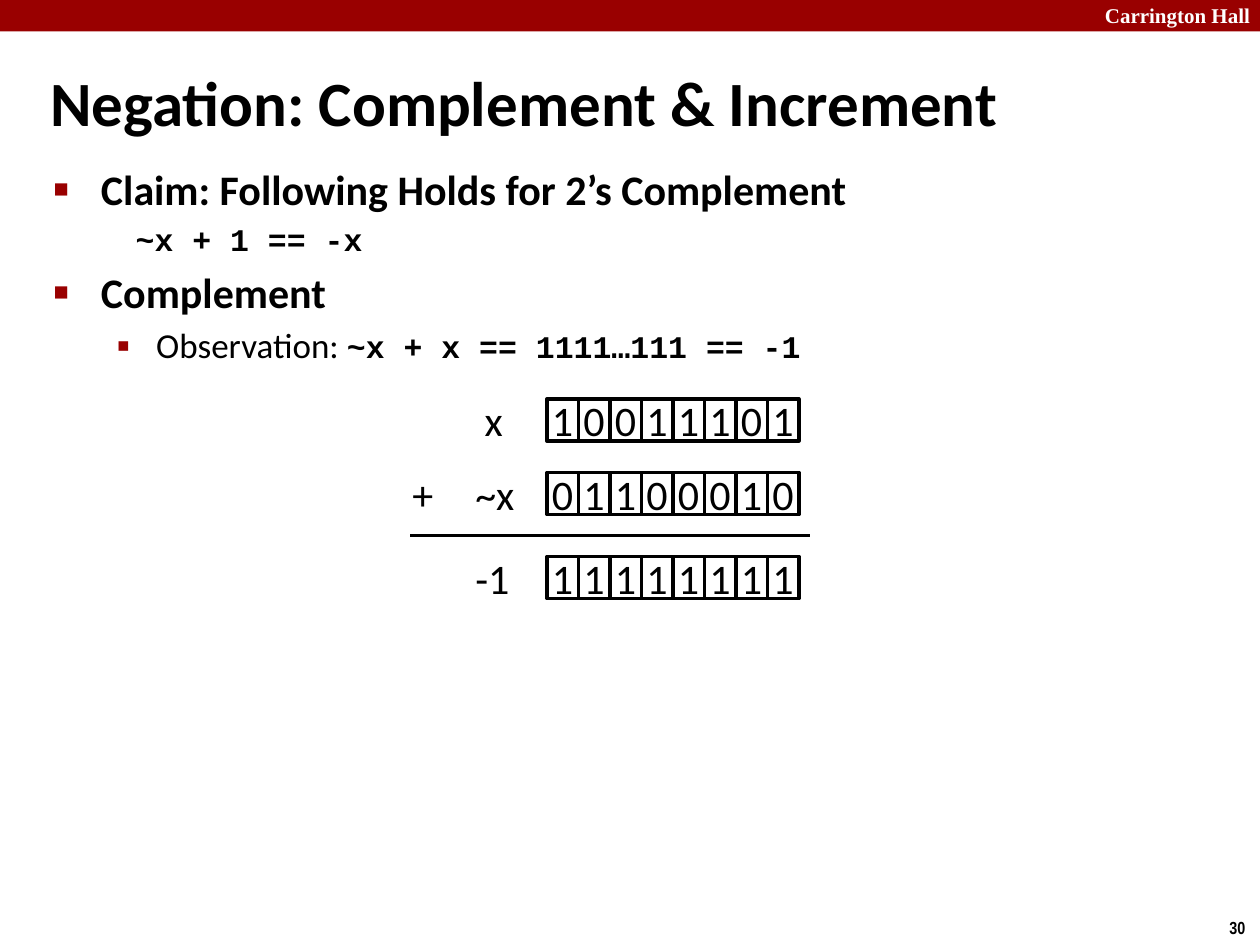
"""Build the slide on negation by complement and increment."""
from lxml.etree import SubElement
from pptx import Presentation
from pptx.dml.color import RGBColor
from pptx.enum.shapes import MSO_CONNECTOR, MSO_SHAPE
from pptx.enum.text import MSO_ANCHOR, MSO_AUTO_SIZE, PP_ALIGN
from pptx.oxml.ns import qn
from pptx.util import Pt

BLACK, WHITE, RED = "000000", "FFFFFF", "990000"


def color(value):
    return RGBColor.from_string(value)


def add_span(paragraph, text, size, font="Calibri", bold=False, shade=BLACK):
    span = paragraph.add_run()
    span.text = text
    span.font.size = Pt(size)
    span.font.name = font
    span.font.bold = bold
    span.font.color.rgb = color(shade)


deck = Presentation()
deck.slide_width, deck.slide_height = Pt(720), Pt(540)
page = deck.slides.add_slide(deck.slide_layouts[1])

banner = page.shapes.add_shape(MSO_SHAPE.RECTANGLE, 0, 0, Pt(720), Pt(18))
banner.shadow.inherit = False
banner.fill.solid()
banner.fill.fore_color.rgb = color(RED)
banner.line.fill.background()

title = page.shapes.title
title.left, title.top, title.width, title.height = Pt(21.6), Pt(36), Pt(698.4), Pt(44)
title.text_frame.auto_size = MSO_AUTO_SIZE.NONE
title.text_frame.vertical_anchor = MSO_ANCHOR.MIDDLE
heading = title.text_frame.paragraphs[0]
heading.alignment = PP_ALIGN.LEFT
add_span(heading, "Negation: Complement & Increment", 36, bold=True)

body = page.placeholders[1]
body.left, body.top, body.width, body.height = Pt(23.5), Pt(89.75), Pt(618.5), Pt(411)
body.text_frame.auto_size = MSO_AUTO_SIZE.NONE
points = [
    (0, "■", 60, [("Claim: Following Holds for 2’s Complement", 24, "Calibri", True)]),
    (1, None, None, [(" ~x + 1 == -x", 18, "Courier New", True)]),
    (0, "■", 60, [("Complement", 24, "Calibri", True)]),
    (1, "▪", 110, [("Observation: ", 20, "Calibri", False),
                   ("~x + x == 1111…111 == -1", 18, "Courier New", True)]),
]
for index, (level, bullet, percent, spans) in enumerate(points):
    frame = body.text_frame
    paragraph = frame.add_paragraph() if index else frame.paragraphs[0]
    paragraph.level = level
    margin, indent = [(27, -27), (58.5, -22.5)][level]
    properties = paragraph._p.get_or_add_pPr()
    properties.set("marL", str(Pt(margin)))
    properties.set("indent", str(Pt(indent)))
    if bullet:
        bullet_color = SubElement(properties, qn("a:buClr"))
        SubElement(bullet_color, qn("a:srgbClr"), val=RED)
        SubElement(properties, qn("a:buSzPct"), val=str(percent * 1000))
        SubElement(properties, qn("a:buFont"), typeface="Arial")
        SubElement(properties, qn("a:buChar"), char=bullet)
    else:
        SubElement(properties, qn("a:buNone"))
    for text, size, font, bold in spans:
        add_span(paragraph, text, size, font, bold)

labels = [
    ("Carrington Hall", 620, -2, 101.5, 21.6, 12, "Times New Roman", True, WHITE, PP_ALIGN.RIGHT),
    ("30", 695.5, 520.5, 24.5, 19.5, 10, "Arial Narrow", True, BLACK, PP_ALIGN.LEFT),
    ("+", 228.5, 264, 26.5, 36.5, 24, "Calibri", False, BLACK, PP_ALIGN.LEFT),
]
rows = [(" x", "10011101", 228, 31), ("~x", "01100010", 270, 37.5), ("-1", "11111111", 318, 34.5)]
for name, bits, top, width in rows:
    labels.append((name, 264.5, top - 6, width, 36.5, 24, "Calibri", False, BLACK, PP_ALIGN.LEFT))
    row = page.shapes.add_group_shape()
    for column in (0, 1, 2, 5, 6, 7, 3, 4):
        cell = row.shapes.add_shape(
            MSO_SHAPE.RECTANGLE, Pt(312.5 + 18 * column), Pt(top), Pt(18), Pt(24))
        cell.shadow.inherit = False
        cell.fill.solid()
        cell.fill.fore_color.rgb = color(WHITE)
        cell.line.color.rgb = color(BLACK)
        cell.line.width = Pt(2)
        frame = cell.text_frame
        frame.word_wrap = False
        frame.vertical_anchor = MSO_ANCHOR.MIDDLE
        frame.paragraphs[0].alignment = PP_ALIGN.CENTER
        add_span(frame.paragraphs[0], bits[column], 24)

for text, left, top, width, height, size, font, bold, shade, alignment in labels:
    box = page.shapes.add_textbox(Pt(left), Pt(top), Pt(width), Pt(height))
    box.text_frame.word_wrap = False
    paragraph = box.text_frame.paragraphs[0]
    paragraph.alignment = alignment
    add_span(paragraph, text, size, font, bold, shade)

sum_line = page.shapes.add_connector(
    MSO_CONNECTOR.STRAIGHT, Pt(234.5), Pt(306), Pt(463), Pt(306))
sum_line.line.color.rgb = color(BLACK)
sum_line.line.width = Pt(2)
SubElement(sum_line._element.spPr, qn("a:effectLst"))

deck.save("out.pptx")
